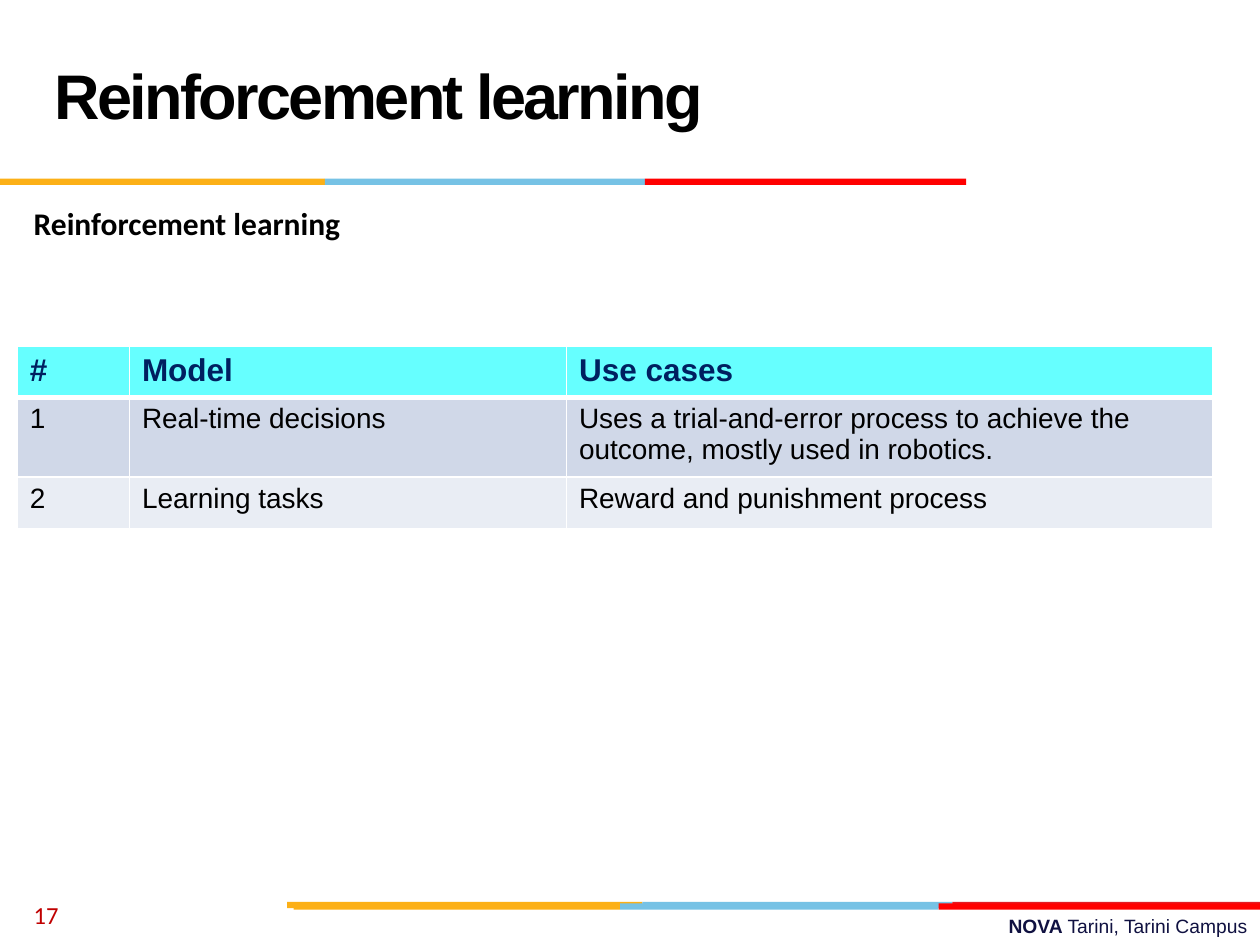
import dataclasses

import lxml.etree
import pptx
import pptx.dml.color
import pptx.enum.shapes
import pptx.enum.text
import pptx.oxml.ns
import pptx.util

Cm = pptx.util.Cm
Align = pptx.enum.text.PP_ALIGN
Anchor = pptx.enum.text.MSO_ANCHOR


@dataclasses.dataclass(frozen=True)
class Theme:
    """Colours, fonts and type sizes of the slide."""
    heading_font: str = "Arial"
    body_font: str = "Calibri"
    black: str = "000000"
    white: str = "FFFFFF"
    navy: str = "101141"
    number: str = "C00000"
    header_text: str = "002060"
    header_fill: str = "66FFFF"
    row_fills: tuple = ("D0D8E8", "E9EDF4")
    stripe: tuple = ("FCB017", "76C2E5", "FF0000")
    stripe_under: tuple = ("FCB017", "76C2E5", "E31C24")
    title_size: float = 36
    head_size: float = 18
    cell_size: float = 16
    number_size: float = 14
    footer_size: float = 11


THEME = Theme()


def rgb(value):
    """Return a colour object for a hex value."""
    return pptx.dml.color.RGBColor.from_string(value)


def write(para, text, *, size, color=THEME.black, font=THEME.heading_font,
          bold=False, tracking=None):
    """Add a formatted span of text to a paragraph."""
    span = para.add_run()
    span.text = text
    span.font.name = font
    span.font.size = pptx.util.Pt(size)
    span.font.bold = bold
    span.font.color.rgb = rgb(color)
    if tracking is not None:
        span.font._element.set("spc", str(int(tracking * 100)))


def add_box(page, left, top, width, height, *, anchor=Anchor.TOP, align=Align.LEFT):
    """Add a wrapping text box and return its first paragraph."""
    box = page.shapes.add_textbox(Cm(left), Cm(top), Cm(width), Cm(height))
    box.text_frame.word_wrap = True
    box.text_frame.vertical_anchor = anchor
    para = box.text_frame.paragraphs[0]
    para.alignment = align
    return para


def add_stripe(page, top, edges, colors):
    """Draw a thin stripe of coloured bars between successive edges."""
    for left, right, color in zip(edges, edges[1:], colors):
        bar = page.shapes.add_shape(
            pptx.enum.shapes.MSO_SHAPE.RECTANGLE,
            Cm(left), Cm(top), Cm(right - left), Cm(0.13))
        bar.shadow.inherit = False
        bar.fill.solid()
        bar.fill.fore_color.rgb = rgb(color)
        bar.line.fill.background()


def set_borders(cell, bottom):
    """Give a cell white borders, with its own bottom width in points."""
    properties = cell._tc.get_or_add_tcPr()
    qn = pptx.oxml.ns.qn
    widths = {"a:lnL": 1, "a:lnR": 1, "a:lnT": 1, "a:lnB": bottom}
    for place, (tag, width) in enumerate(widths.items()):
        line = lxml.etree.Element(qn(tag), w=str(pptx.util.Pt(width)))
        fill = lxml.etree.SubElement(line, qn("a:solidFill"))
        lxml.etree.SubElement(fill, qn("a:srgbClr"), val=THEME.white)
        properties.insert(place, line)


def add_grid(page, left, top, widths, heights, rows):
    """Add a table with a header row and alternating body rows."""
    table = page.shapes.add_table(
        len(rows), len(widths), Cm(left), Cm(top),
        Cm(sum(widths)), Cm(sum(heights))).table
    for column, width in zip(table.columns, widths):
        column.width = Cm(width)
    for index, (texts, height) in enumerate(zip(rows, heights)):
        header = index == 0
        table.rows[index].height = Cm(height)
        for cell, text in zip(table.rows[index].cells, texts):
            cell.fill.solid()
            cell.fill.fore_color.rgb = rgb(
                THEME.header_fill if header else THEME.row_fills[(index - 1) % 2])
            set_borders(cell, bottom=3 if header else 1)
            write(cell.text_frame.paragraphs[0], text, bold=header,
                  size=THEME.head_size if header else THEME.cell_size,
                  color=THEME.header_text if header else THEME.black)


def main():
    """Build the slide and save it."""
    deck = pptx.Presentation()
    deck.slide_width, deck.slide_height = Cm(25.4), Cm(19.05)
    page = deck.slides.add_slide(deck.slide_layouts[6])

    footer = add_box(page, 9.09, 18.31, 16.31, 0.74, align=Align.RIGHT)
    write(footer, "NOVA ", size=THEME.footer_size, color=THEME.navy, bold=True)
    write(footer, "Tarini, Tarini Campus", size=THEME.footer_size, color=THEME.navy)

    add_stripe(page, 18.18, (5.79, 12.95, 19.2, 25.4), THEME.stripe_under)
    add_stripe(page, 18.21, (5.92, 12.5, 18.92, 25.4), THEME.stripe)
    add_stripe(page, 3.6, (0, 6.55, 13, 19.48), THEME.stripe)

    title = add_box(page, 0.85, 0.43, 23.7, 3.18, anchor=Anchor.MIDDLE)
    title.line_spacing = pptx.util.Pt(THEME.title_size)
    write(title, "Reinforcement learning", size=THEME.title_size, bold=True,
          tracking=-1.5)

    number = add_box(page, 0.43, 17.93, 5.92, 1.02, anchor=Anchor.MIDDLE)
    write(number, "17", size=THEME.number_size, color=THEME.number,
          font=THEME.body_font)

    subtitle = add_box(page, 0.43, 3.99, 24.1, 1.02)
    write(subtitle, "Reinforcement learning", size=THEME.head_size,
          font=THEME.body_font, bold=True)

    add_grid(page, 0.35, 6.99, (2.26, 8.81, 13.03), (1.02, 1.6, 1.03), (
        ("#", "Model", "Use cases"),
        ("1", "Real-time decisions",
         "Uses a trial-and-error process to achieve the outcome, "
         "mostly used in robotics."),
        ("2", "Learning tasks", "Reward and punishment process"),
    ))
    deck.save("out.pptx")


if __name__ == "__main__":
    main()
